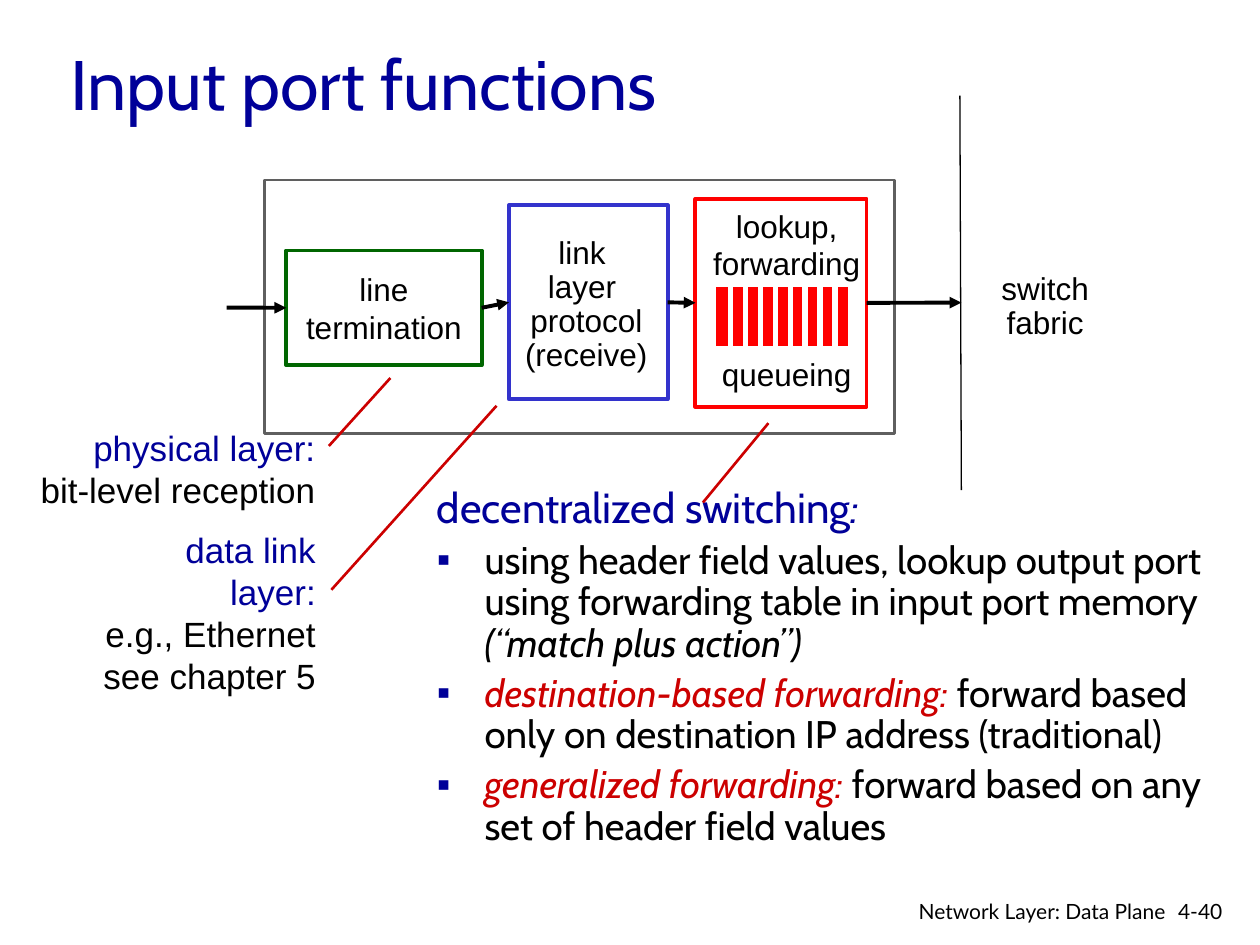
from lxml import etree
from pptx import Presentation
from pptx import util as u
from pptx.dml.color import RGBColor
from pptx.enum import shapes, text
from pptx.oxml.ns import qn

Cm, Pt = u.Cm, u.Pt
BLACK, WHITE, NAVY, RED = "000000", "FFFFFF", "000099", "CC0000"
LEFT, MID, RIGHT = text.PP_ALIGN.LEFT, text.PP_ALIGN.CENTER, text.PP_ALIGN.RIGHT


def tint(code):
    return RGBColor.from_string(code)


def add(node, tag, **attrs):
    return etree.SubElement(node, qn(tag), attrs)


class Deck:
    def __init__(self):
        self.show = Presentation()
        self.show.slide_width, self.show.slide_height = Cm(25.4), Cm(19.05)
        self.page = self.show.slides.add_slide(self.show.slide_layouts[6])
        self.site = self.page.shapes

    def group(self):
        self.site = self.page.shapes.add_group_shape().shapes

    def rect(self, place, fill=WHITE, edge=None, wide=2.25):
        box = self.site.add_shape(shapes.MSO_SHAPE.RECTANGLE, *map(Cm, place))
        box.shadow.inherit = False
        box.fill.solid()
        box.fill.fore_color.rgb = tint(fill)
        if edge:
            box.line.color.rgb = tint(edge)
            box.line.width = Pt(wide)
        else:
            box.line.fill.background()
        return box

    def line(self, start, end, hue=BLACK, wide=2.25, head=False, first=None, last=None):
        link = self.site.add_connector(shapes.MSO_CONNECTOR.STRAIGHT,
                                       *map(Cm, start + end))
        if first:
            link.begin_connect(first, 3)
        if last:
            link.end_connect(last, 1)
        link.line.color.rgb = tint(hue)
        link.line.width = Pt(wide)
        props = link._element.spPr
        if head:
            add(props.find(qn("a:ln")), "a:tailEnd", type="triangle")
        add(props, "a:effectLst")

    def box(self, place, rows, grow=False, **style):
        box = self.site.add_textbox(*map(Cm, place))
        if grow:
            box.text_frame.auto_size = text.MSO_AUTO_SIZE.SHAPE_TO_FIT_TEXT
        self.label(box, rows, **style)
        return box

    def label(self, box, rows, size=18, face="Arial", side=MID, gap=None,
              wrap=False, mid=False):
        frame = box.text_frame
        frame.word_wrap = wrap
        frame.vertical_anchor = text.MSO_ANCHOR.MIDDLE if mid else text.MSO_ANCHOR.TOP
        for i, row in enumerate(rows):
            words, hue = row if isinstance(row, tuple) else (row, BLACK)
            para = frame.paragraphs[0] if i == 0 else frame.add_paragraph()
            para.alignment = side
            if gap:
                para.line_spacing = gap
            para.add_run().text = words
            para.font.size, para.font.name = Pt(size), face
            para.font.color.rgb = tint(hue)

    def points(self, place, title, items):
        frame = self.site.add_textbox(*map(Cm, place)).text_frame
        frame.word_wrap = True
        for i, runs in enumerate([title] + items):
            para = frame.paragraphs[0] if i == 0 else frame.add_paragraph()
            para.line_spacing = 0.9
            if i:
                para.space_before = Pt(4.8)
                props = para._p.get_or_add_pPr()
                props.set("marL", str(Cm(0.96)))
                props.set("indent", str(-Cm(0.96)))
                add(add(props, "a:buClr"), "a:srgbClr", val=NAVY)
                add(props, "a:buFont", typeface="Arial")
                add(props, "a:buChar", char="▪")
            para.font.size, para.font.name = Pt(22 if i else 24), "Cabin"
            for words, hue, slant in runs:
                run = para.add_run()
                run.text = words
                run.font.color.rgb = tint(hue)
                run.font.italic = slant


def main():
    deck = Deck()
    deck.rect((5.33, 3.63, 12.7, 5.11), edge="5F5F5F", wide=1.5)
    term = deck.rect((5.77, 5.05, 3.94, 2.31), edge="006600")
    deck.label(term, ["line", "termination"], mid=True)
    proto = deck.rect((10.26, 4.14, 3.2, 3.91), edge="3333CC")
    look = deck.rect((14.02, 4.01, 3.45, 4.19), edge="FF0000")
    for start, end, first, last in (((4.57, 6.2), (5.77, 6.2), None, term),
                                    ((9.71, 6.2), (10.26, 6.1), term, proto),
                                    ((13.46, 6.1), (14.02, 6.1), proto, look),
                                    ((17.47, 6.1), (19.38, 6.1), look, None)):
        deck.line(start, end, head=True, first=first, last=last)

    link = deck.rect((10.36, 5.0, 2.92, 2.31))
    deck.label(link, ["link ", "layer ", "protocol", "(receive)"], gap=0.9, mid=True)
    queue = deck.box((14.12, 4.04, 3.48, 4.06), ["lookup,", "forwarding", "queueing"],
                     grow=True)
    queue.text_frame.paragraphs[2].space_before = Pt(41.4)

    deck.box((1.17, 0.81, 21.59, 1.7), [("Input port functions", NAVY)],
             size=40, face="Cabin", side=LEFT, wrap=True, mid=True)
    deck.points((8.56, 9.7, 16.03, 7.42),
                [("decentralized switching", NAVY, False), (":", NAVY, True)],
                [[("using header field values, lookup output port using forwarding "
                   "table in input port memory ", BLACK, False),
                  ("(“match plus action”)", BLACK, True)],
                 [("destination-based forwarding: ", RED, True),
                  ("forward based only on destination IP address (traditional)",
                   BLACK, False)],
                 [("generalized forwarding: ", RED, True),
                  ("forward based on any set of header field values", BLACK, False)]])
    deck.box((0.56, 8.48, 6.05, 1.96), [("physical layer:", NAVY), "bit-level reception"],
             size=20, side=RIGHT, grow=True)
    deck.box((1.57, 10.52, 5.05, 2.79),
             [("data link layer:", NAVY), "e.g., Ethernet", "see chapter 5"],
             size=20, side=RIGHT, grow=True)

    deck.line((19.35, 1.93), (19.38, 9.88), wide=0.75)
    fabric = deck.rect((19.61, 5.05, 2.92, 2.31))
    deck.label(fabric, ["switch", "fabric"], gap=0.9, mid=True)

    deck.group()
    deck.rect((14.38, 5.74, 2.77, 1.3), fill="FF0000", edge=WHITE, wide=3)
    for i in range(8):
        x = 14.73 + 0.3 * i
        deck.line((x, 5.76), (x, 7.01), hue=WHITE, wide=3)
    deck.site = deck.page.shapes

    for start, end in (((6.63, 8.99), (7.87, 7.62)), ((6.68, 11.89), (10.01, 8.18)),
                       ((14.17, 10.13), (15.49, 8.53))):
        deck.line(start, end, hue=RED, wide=1.5)
    deck.box((23.5, 17.98, 1.55, 0.76), ["4-40"], size=12, face="Lato",
             side=LEFT, wrap=True)
    deck.box((17.7, 17.98, 6.05, 0.66), ["Network Layer: Data Plane"], size=12,
             face="Lato", side=RIGHT, wrap=True)
    deck.show.save("out.pptx")


if __name__ == "__main__":
    main()
